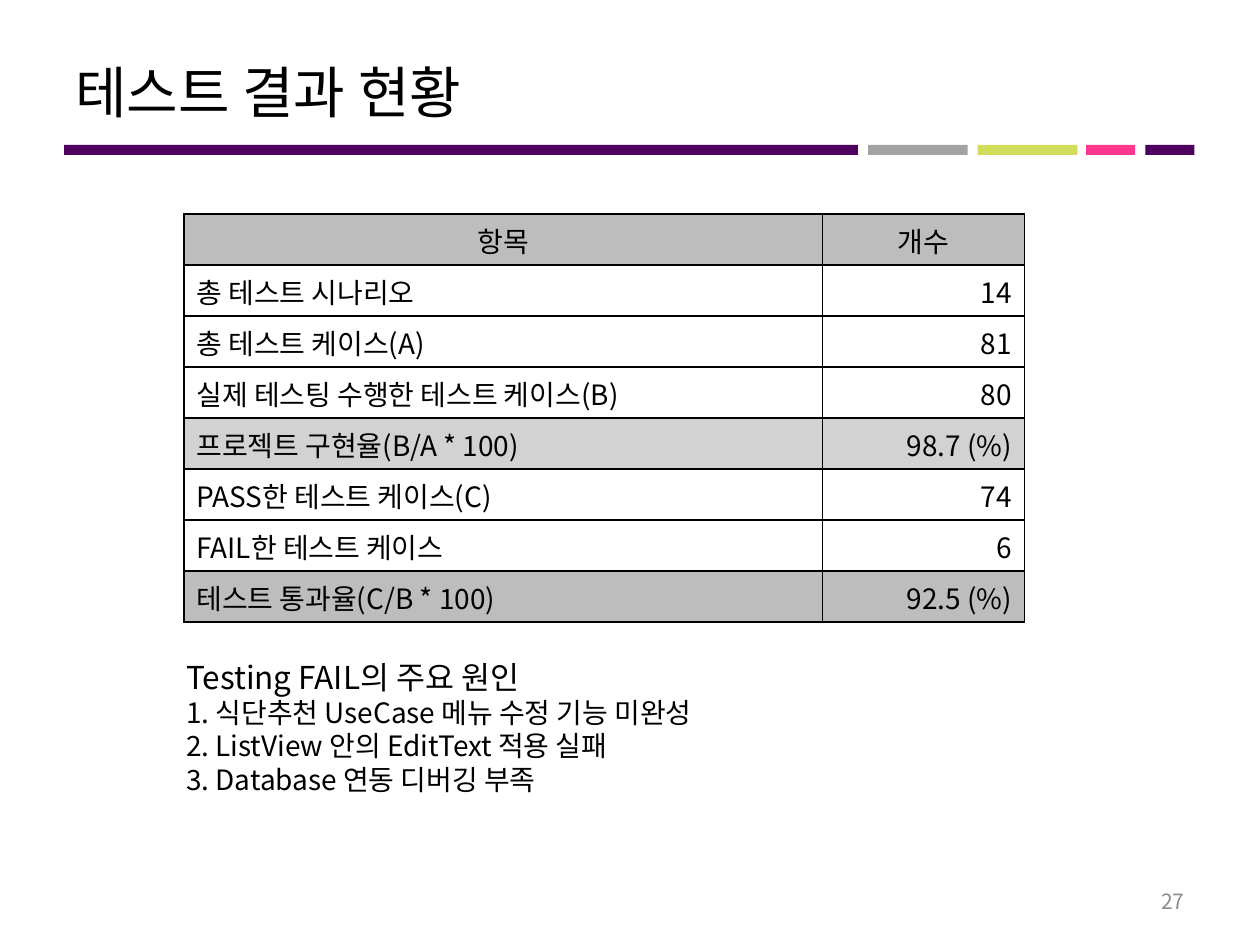
from lxml.etree import SubElement
from pptx import Presentation
from pptx.dml.color import RGBColor
from pptx.enum.shapes import MSO_SHAPE
from pptx.enum.text import MSO_ANCHOR, PP_ALIGN
from pptx.oxml.ns import qn
from pptx.util import Inches, Pt

FONT = "Noto Sans CJK KR"
BLACK, WHITE, GRAY, LIGHT_GRAY = "000000", "FFFFFF", "BDBDBD", "D2D2D2"
LEFT, CENTER, RIGHT = PP_ALIGN.LEFT, PP_ALIGN.CENTER, PP_ALIGN.RIGHT

TITLE = "테스트 결과 현황"
PAGE = "27"
BARS = [  # left, width, colour
    (0.51, 6.3, "4E005F"),
    (6.89, 0.79, "A3A3A3"),
    (7.76, 0.79, "D1DD5B"),
    (8.62, 0.39, "FF388C"),
    (9.09, 0.39, "4E005F"),
]
ROWS = [  # item, count, fill
    ("항목", "개수", GRAY),
    ("총 테스트 시나리오", "14", WHITE),
    ("총 테스트 케이스(A)", "81", WHITE),
    ("실제 테스팅 수행한 테스트 케이스(B)", "80", WHITE),
    ("프로젝트 구현율(B/A * 100)", "98.7 (%)", LIGHT_GRAY),
    ("PASS한 테스트 케이스(C)", "74", WHITE),
    ("FAIL한 테스트 케이스", "6", WHITE),
    ("테스트 통과율(C/B * 100)", "92.5 (%)", GRAY),
]
COL_WIDTHS = (5.07, 1.6)
ROW_HEIGHT = 0.405
CAUSES = [  # text, size
    ("Testing FAIL의 주요 원인", 18),
    ("1. 식단추천 UseCase 메뉴 수정 기능 미완성", 16),
    ("2. ListView 안의 EditText 적용 실패", 16),
    ("3. Database 연동 디버깅 부족", 16),
]


def rgb(color):
    return RGBColor.from_string(color)


def write(tf, lines, align=LEFT, color=BLACK):
    """Fill a text frame with one paragraph per (text, size) pair."""
    for i, (text, size) in enumerate(lines):
        p = tf.add_paragraph() if i else tf.paragraphs[0]
        p.alignment = align
        r = p.add_run()
        r.text = text
        r.font.size = Pt(size)
        r.font.name = FONT
        r.font.color.rgb = rgb(color)
        # Hangul takes the East Asian typeface
        SubElement(r.font._element, qn("a:ea"), typeface=FONT)


def add_text(s, box, lines, anchor=MSO_ANCHOR.TOP, **style):
    tf = s.shapes.add_textbox(*map(Inches, box)).text_frame
    tf.word_wrap = True
    tf.vertical_anchor = anchor
    write(tf, lines, **style)


def add_borders(cell):
    tc_pr = cell._tc.get_or_add_tcPr()
    for side in ("lnL", "lnR", "lnT", "lnB"):
        ln = SubElement(tc_pr, qn(f"a:{side}"), w=str(Pt(1)))
        fill = SubElement(ln, qn("a:solidFill"))
        SubElement(fill, qn("a:srgbClr"), val=BLACK)


def add_results(s):
    size = (sum(COL_WIDTHS), ROW_HEIGHT * len(ROWS))
    table = s.shapes.add_table(len(ROWS), len(COL_WIDTHS),
                               *map(Inches, (1.46, 1.7, *size))).table
    table.first_row = table.horz_banding = False
    for column, width in zip(table.columns, COL_WIDTHS):
        column.width = Inches(width)
    for i, (*texts, fill) in enumerate(ROWS):
        aligns = (LEFT, RIGHT) if i else (CENTER, CENTER)
        for j, (text, align) in enumerate(zip(texts, aligns)):
            cell = table.cell(i, j)
            add_borders(cell)
            cell.fill.solid()
            cell.fill.fore_color.rgb = rgb(fill)
            write(cell.text_frame, [(text, 16)], align)


def main():
    prs = Presentation()
    prs.slide_width, prs.slide_height = Inches(10), Inches(7.5)
    s = prs.slides.add_slide(prs.slide_layouts[6])

    for left, width, color in BARS:
        bar = s.shapes.add_shape(MSO_SHAPE.RECTANGLE,
                                 *map(Inches, (left, 1.15, width, 0.08)))
        bar.shadow.inherit = False
        bar.fill.solid()
        bar.fill.fore_color.rgb = rgb(color)
        bar.line.fill.background()

    add_text(s, (0.5, 0.3, 9, 0.85), [(TITLE, 32)], MSO_ANCHOR.MIDDLE)
    add_text(s, (7.17, 6.95, 2.33, 0.4), [(PAGE, 12)], MSO_ANCHOR.MIDDLE,
             align=RIGHT, color="8C8C8C")
    add_results(s)
    add_text(s, (1.38, 5.17, 4.7, 1.21), CAUSES)
    prs.save("out.pptx")


if __name__ == "__main__":
    main()
